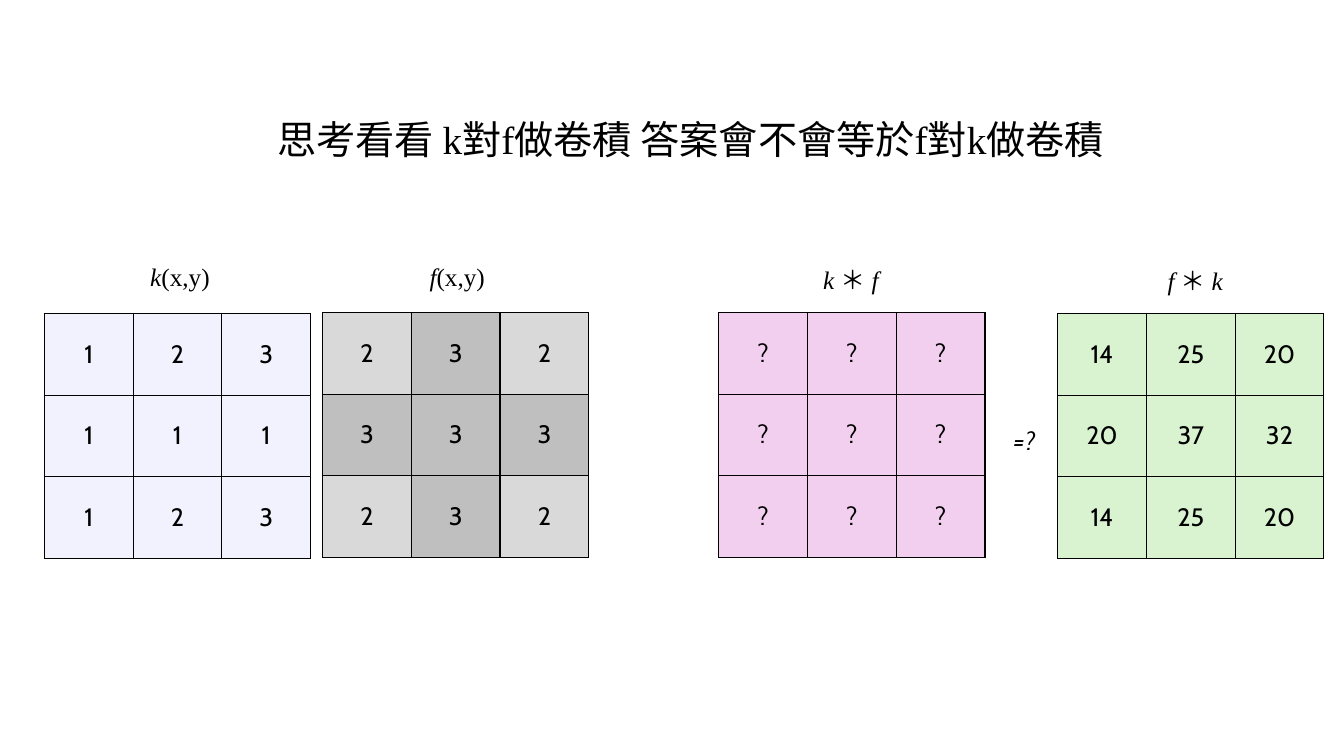
"""Slide asking whether convolving k with f equals convolving f with k."""
from lxml import etree
from pptx import Presentation
from pptx.dml.color import RGBColor
from pptx.enum.text import MSO_ANCHOR, MSO_AUTO_SIZE, PP_ALIGN
from pptx.oxml import parse_xml
from pptx.oxml.ns import nsdecls, qn
from pptx.util import Inches, Pt

LEFT, CENTER = PP_ALIGN.LEFT, PP_ALIGN.CENTER
TOP, MIDDLE = MSO_ANCHOR.TOP, MSO_ANCHOR.MIDDLE
NO_FIT = MSO_AUTO_SIZE.NONE
SERIF, SANS = "Times New Roman", "Cabin"
COLORS = {
    "ink": "000000",
    "kernel": "D5D5FF",
    "light": "D9D9D9",
    "dark": "BFBFBF",
    "unknown": "F2CFEE",
    "result": "D9F2D0",
}
CELL_W, CELL_H = 0.88, 0.81


def add_run(paragraph, text, font, size=18, italic=False):
    run = paragraph.add_run()
    run.text = text
    run.font.name = font
    run.font.size = Pt(size)
    run.font.italic = italic
    run.font.color.rgb = RGBColor.from_string(COLORS["ink"])


def add_matrix(slide, left, top, values, fills):
    frame = slide.shapes.add_table(3, 3, Inches(left), Inches(top),
                                   Inches(3 * CELL_W), Inches(3 * CELL_H))
    matrix = frame.table
    matrix.first_row = matrix.horz_banding = False
    for column in matrix.columns:
        column.width = Inches(CELL_W)
    for row in matrix.rows:
        row.height = Inches(CELL_H)
    for index, cell in enumerate(matrix.iter_cells()):
        fill = fills[index % len(fills)]
        cell.vertical_anchor = MIDDLE
        cell.fill.solid()
        cell.fill.fore_color.rgb = RGBColor.from_string(COLORS[fill])
        properties = cell._tc.get_or_add_tcPr()
        if fill == "kernel":
            color = properties.find(".//" + qn("a:srgbClr"))
            etree.SubElement(color, qn("a:alpha"), val="30000")
        for position, side in enumerate(("lnL", "lnR", "lnT", "lnB")):
            properties.insert(position, parse_xml(
                f'<a:{side} {nsdecls("a")} w="{Pt(1)}"><a:solidFill>'
                f'<a:srgbClr val="{COLORS["ink"]}"/></a:solidFill></a:{side}>'))
        paragraph = cell.text_frame.paragraphs[0]
        paragraph.alignment = CENTER
        add_run(paragraph, values[index], SANS)


prs = Presentation()
prs.slide_width, prs.slide_height = Inches(13.33), Inches(7.5)
slide = prs.slides.add_slide(prs.slide_layouts[5])

question = slide.shapes.title
question.left, question.top = Inches(2.65), Inches(1.09)
question.width, question.height = Inches(8.84), Inches(0.57)
question.text_frame.word_wrap = True
question.text_frame.auto_size = NO_FIT
question.text_frame.vertical_anchor = TOP
question_line = question.text_frame.paragraphs[0]
question_line.alignment = LEFT
add_run(question_line, "思考看看 k對f做卷積 答案會不會等於f對k做卷積", SERIF, 28)

matrices = [
    (3.2, 3.1, "2 3 2 3 3 3 2 3 2",
     ["light", "dark", "light", "dark", "dark", "dark", "light", "dark", "light"]),
    (0.44, 3.11, "1 2 3 1 1 1 1 2 3", ["kernel"]),
    (7.13, 3.1, "? ? ? ? ? ? ? ? ?", ["unknown"]),
    (10.49, 3.11, "14 25 20 20 37 32 14 25 20", ["result"]),
]
for left, top, values, fills in matrices:
    add_matrix(slide, left, top, values.split(), fills)

labels = [
    (4.07, 2.54, 0.93, SERIF, [("f", True), ("(x,y)", False)]),
    (1.32, 2.54, 0.93, SERIF, [("k", True), ("(x,y)", False)]),
    (7.16, 2.57, 2.56, SERIF, [("k ", True), ("＊ ", False), ("f", True)]),
    (11.39, 2.58, 0.93, SERIF, [("f ", True), ("＊ ", False), ("k", True)]),
    (9.93, 4.17, 0.46, SANS, [("=?", True)]),
]
for left, top, width, font, parts in labels:
    label = slide.shapes.add_textbox(Inches(left), Inches(top), Inches(width), Inches(0.4))
    label.text_frame.word_wrap = True
    label_line = label.text_frame.paragraphs[0]
    label_line.alignment = CENTER
    for text, italic in parts:
        add_run(label_line, text, font, italic=italic)

prs.save("out.pptx")
